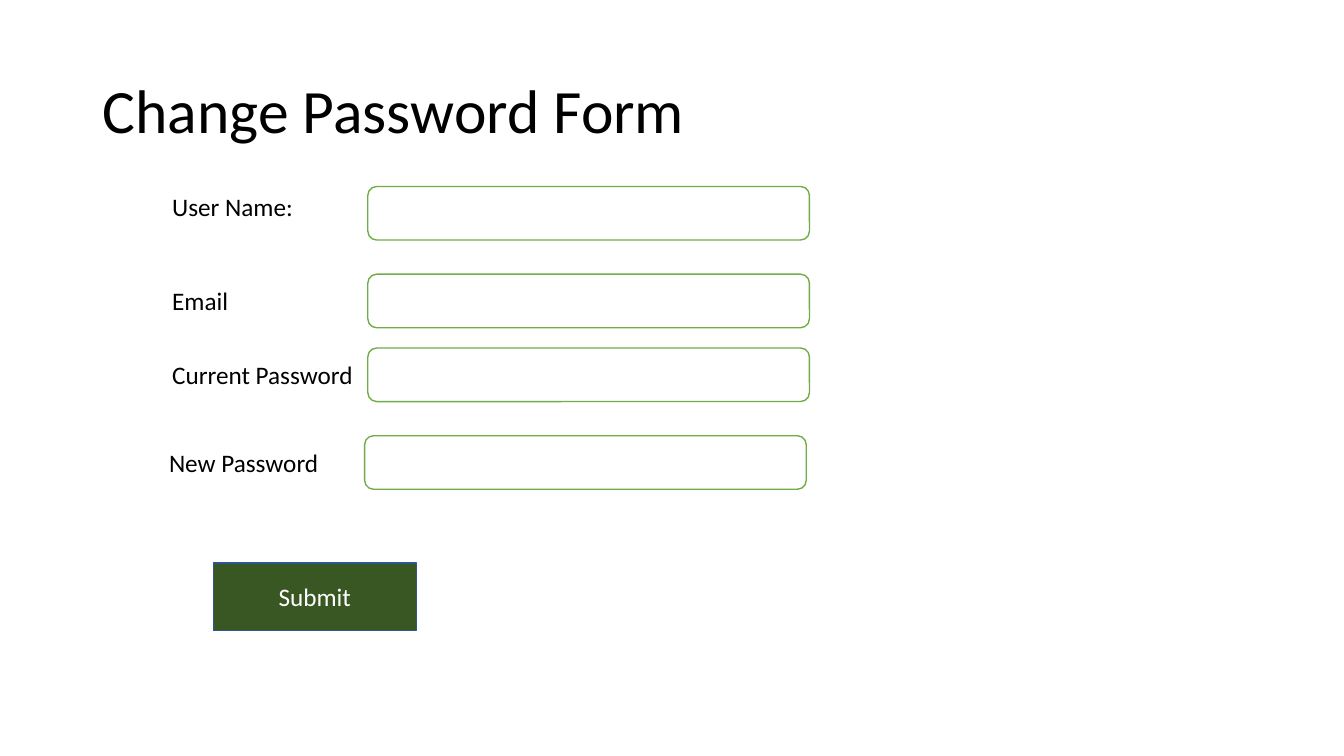
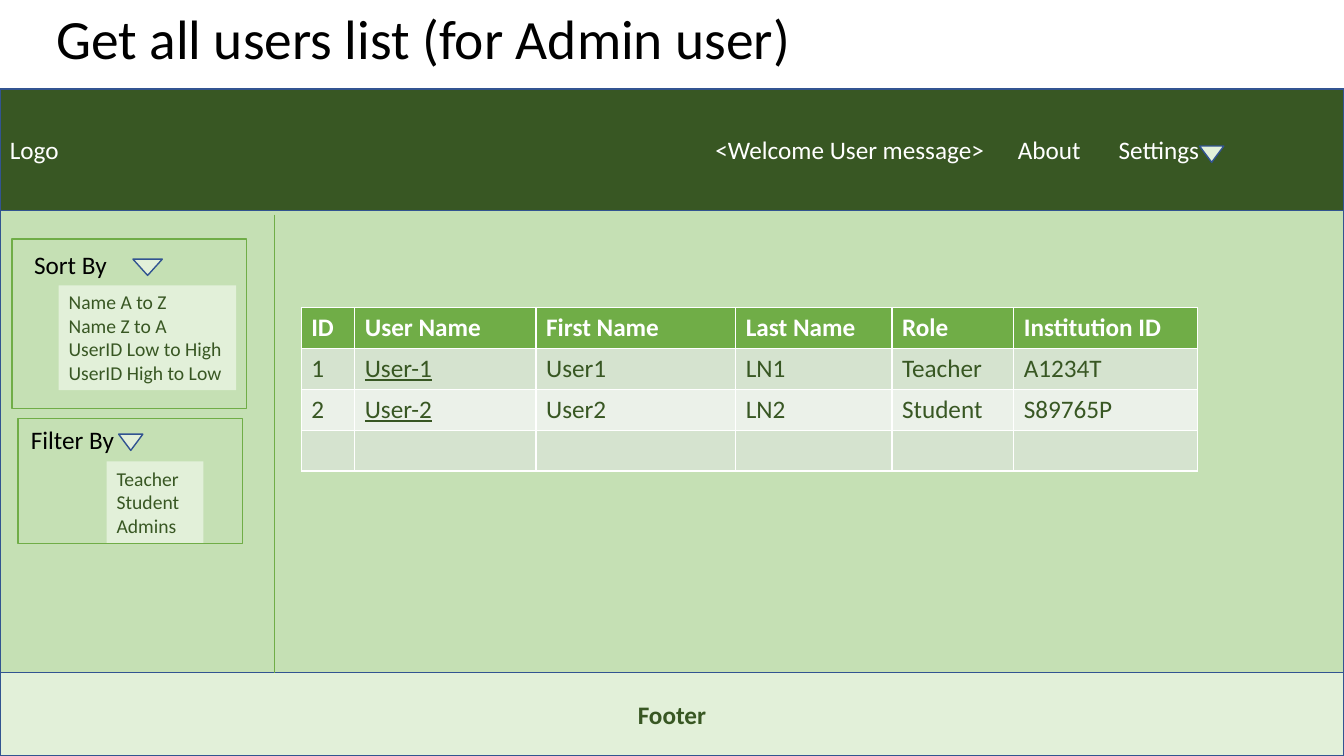
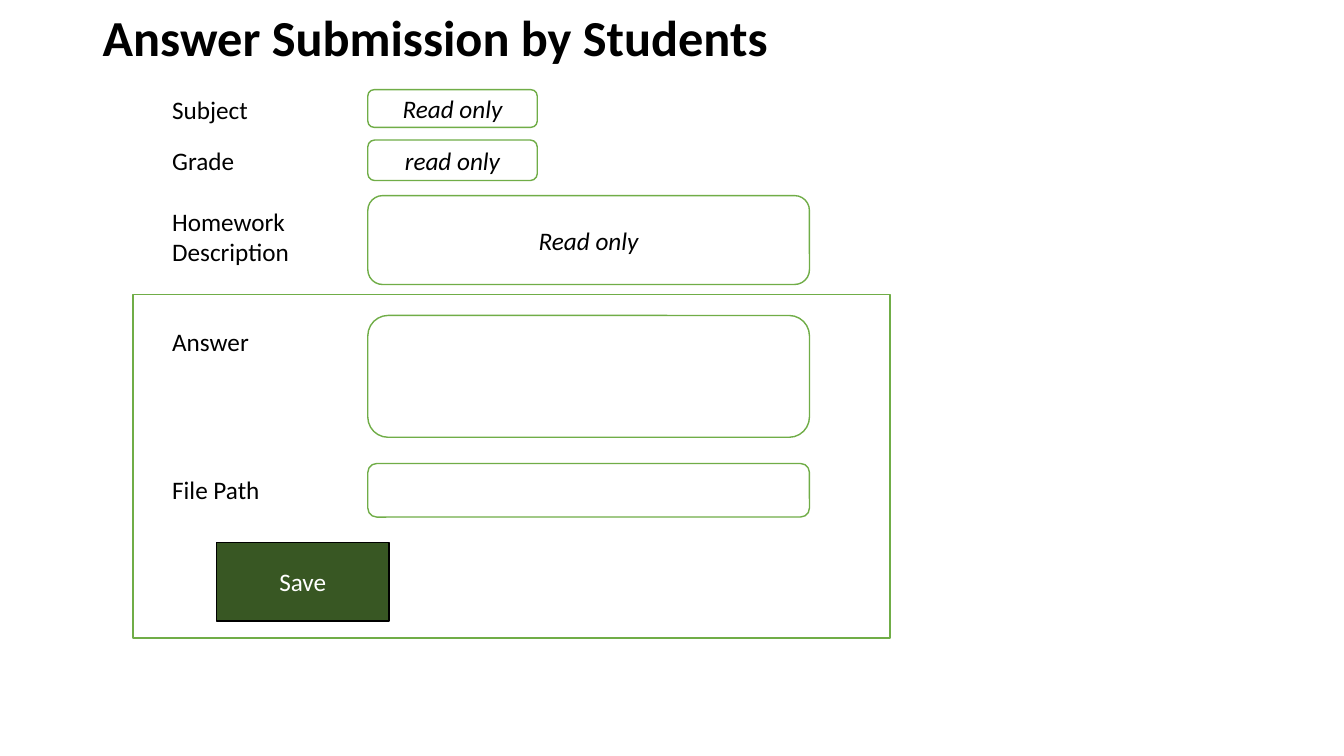
from lxml.etree import SubElement
from pptx import Presentation
from pptx.dml.color import RGBColor
from pptx.enum.shapes import MSO_CONNECTOR as Line, MSO_SHAPE as Shape
from pptx.enum.text import MSO_ANCHOR as Anchor, MSO_AUTO_SIZE as Fit, PP_ALIGN as Align
from pptx.oxml.ns import qn
from pptx.util import Cm, Pt

FONT = "Calibri"
BLACK = RGBColor(0x00, 0x00, 0x00)
WHITE = RGBColor(0xFF, 0xFF, 0xFF)
FOREST = RGBColor(0x38, 0x57, 0x23)
GREEN = RGBColor(0x70, 0xAD, 0x47)
LEAF = RGBColor(0xC5, 0xE0, 0xB4)
MINT = RGBColor(0xE2, 0xF0, 0xD9)
NAVY = RGBColor(0x32, 0x54, 0x91)
ROW_DARK = RGBColor(0xD5, 0xE3, 0xCF)
ROW_LIGHT = RGBColor(0xEB, 0xF1, 0xE9)

WIDTH, HEIGHT = 33.87, 19.05
LABEL_X, FIELD_X = 4.09, 9.27
FIELD_W, FIELD_H, SHORT_W = 11.13, 1.35, 4.27
LABEL_H = 1.02


def write(tf, text, size=18, color=BLACK, bold=False, italic=False, underline=False,
          align=Align.LEFT, anchor=Anchor.TOP, spacing=None, tabs=()):
    tf.vertical_anchor = anchor
    for i, line in enumerate(text.split("\n")):
        p = tf.add_paragraph() if i else tf.paragraphs[0]
        p.alignment = align
        if spacing:
            p.line_spacing = spacing
        if tabs:
            stops = SubElement(p._p.get_or_add_pPr(), qn("a:tabLst"))
            for pos in tabs:
                SubElement(stops, qn("a:tab"), pos=str(Cm(pos)), algn="l")
        r = p.add_run()
        r.text = line
        font = r.font
        font.name, font.size, font.color.rgb = FONT, Pt(size), color
        font.bold, font.italic, font.underline = bold, italic, underline


class Deck:
    def __init__(self):
        self.prs = Presentation()
        self.prs.slide_width, self.prs.slide_height = Cm(WIDTH), Cm(HEIGHT)
        self.s = None

    def slide(self, title, x, y, h, **fmt):
        self.s = self.prs.slides.add_slide(self.prs.slide_layouts[6])
        sp = self.s.shapes.add_textbox(Cm(x), Cm(y), Cm(29.21), Cm(h))
        sp.text_frame.word_wrap = True
        write(sp.text_frame, title, anchor=Anchor.MIDDLE, spacing=0.9, **fmt)

    def label(self, text, x, y, w, h=LABEL_H):
        tf = self.s.shapes.add_textbox(Cm(x), Cm(y), Cm(w), Cm(h)).text_frame
        tf.word_wrap = False
        tf.auto_size = Fit.SHAPE_TO_FIT_TEXT
        write(tf, text)

    def shape(self, x, y, w, h, kind=Shape.RECTANGLE, fill=None, line=None, text="", **fmt):
        sp = self.s.shapes.add_shape(kind, Cm(x), Cm(y), Cm(w), Cm(h))
        sp.shadow.inherit = False
        if fill is None:
            sp.fill.background()
        else:
            sp.fill.solid()
            sp.fill.fore_color.rgb = fill
        if line is None:
            sp.line.fill.background()
        else:
            sp.line.color.rgb, sp.line.width = line, Pt(1)
        if text:
            sp.text_frame.word_wrap = True
            write(sp.text_frame, text, **{"anchor": Anchor.MIDDLE, **fmt})
        return sp

    def field(self, x, y, w=FIELD_W, h=FIELD_H, text=""):
        self.shape(x, y, w, h, Shape.ROUNDED_RECTANGLE, WHITE, GREEN, text,
                   italic=True, align=Align.CENTER)

    def button(self, text, x, y, w, h, line):
        self.shape(x, y, w, h, Shape.ACTION_BUTTON_CUSTOM, FOREST, line, text,
                   color=WHITE, align=Align.CENTER)

    def arrow(self, x, y, w=0.61):
        self.shape(x, y, w, 0.41, Shape.ISOSCELES_TRIANGLE, MINT, NAVY).rotation = 180

    def options(self, text, x, y, w, h):
        self.shape(x, y, w, h, fill=MINT, text=text, size=14, color=FOREST, anchor=Anchor.TOP)

    def divider(self, x, top, bottom):
        cx = self.s.shapes.add_connector(Line.STRAIGHT, Cm(x), Cm(top), Cm(x), Cm(bottom))
        cx.line.color.rgb, cx.line.width = GREEN, Pt(0.5)
        SubElement(cx._element.spPr, qn("a:effectLst"))

    def table(self, x, y, widths, row_h, rows, underlined):
        frame = self.s.shapes.add_table(len(rows), len(widths), Cm(x), Cm(y),
                                        Cm(sum(widths)), Cm(row_h * len(rows)))
        table = frame.table
        for col, w in zip(table.columns, widths):
            col.width = Cm(w)
        for i, row in enumerate(rows):
            head = i == 0
            for j, text in enumerate(row):
                cell = table.cell(i, j)
                cell.fill.solid()
                cell.fill.fore_color.rgb = GREEN if head else (ROW_LIGHT, ROW_DARK)[i % 2]
                if text:
                    write(cell.text_frame, text, color=WHITE if head else FOREST,
                          bold=head, underline=not head and j == underlined)


def password_form(deck):
    deck.slide("Change Password Form", 2.34, 1.02, 3.68, size=44)
    for text, w, label_y, field_y, shift in (
        ("User Name:", 3.58, 4.7, 4.7, 0),
        ("Email", 1.93, 7.06, 6.91, 0),
        ("Current Password", 5.11, 8.94, 8.77, 0),
        ("New Password", 4.32, 11.15, 10.98, -0.08),
    ):
        deck.label(text, LABEL_X + shift, label_y, w)
        deck.field(FIELD_X + shift, field_y)
    deck.button("Submit", 5.38, 14.19, 5.11, 1.7, NAVY)


def users_list(deck):
    deck.slide("Get all users list (for Admin user)", 1.17, 0.69, 0.69, size=39.6)
    deck.shape(0, 2.24, WIDTH, 3.07, fill=FOREST, line=NAVY, color=WHITE,
               text="Logo\t<Welcome User message>\tAbout\tSettings", tabs=(17.78, 25.4, 27.94))
    deck.shape(0, 5.31, WIDTH, 11.64, fill=LEAF, line=NAVY)
    deck.shape(0, 16.95, WIDTH, 2.1, fill=MINT, line=NAVY, text="Footer",
               color=FOREST, bold=True, align=Align.CENTER)
    deck.arrow(30.23, 3.68)
    deck.divider(6.91, 5.41, 16.95)

    deck.label("Sort By", 0.61, 6.15, 2.87)
    deck.options("Name A to Z\nName Z to A\nUserID Low to High\nUserID High to Low",
                 1.48, 7.19, 4.47, 2.64)
    deck.arrow(3.35, 6.53, 0.74)
    deck.shape(0.3, 6.02, 5.92, 4.27, line=GREEN)

    deck.label("Filter By", 0.53, 10.57, 2.62)
    deck.options("Teacher\nStudent\nAdmins", 2.69, 11.63, 2.44, 2.06)
    deck.arrow(2.99, 10.94)
    deck.shape(0.45, 10.54, 5.67, 3.15, line=GREEN)

    deck.table(7.59, 7.75, (1.35, 4.57, 5.03, 3.94, 3.07, 4.62), 1.03, (
        ("ID", "User Name", "First Name", "Last Name", "Role", "Institution ID"),
        ("1", "User-1", "User1", "LN1", "Teacher", "A1234T"),
        ("2", "User-2", "User2", "LN2", "Student", "S89765P"),
        ("",) * 6,
    ), underlined=1)


def answer_form(deck):
    deck.slide("Answer Submission by Students", 2.34, 0.13, 1.78, size=36, bold=True)
    deck.shape(3.35, 7.42, 19.08, 8.66, line=GREEN)
    for text, label_w, label_h, label_y, field_y, w, h, value in (
        ("Subject", 2.44, LABEL_H, 2.26, 2.26, SHORT_W, 0.95, "Read only"),
        ("Grade", 2.08, LABEL_H, 3.53, 3.53, SHORT_W, 1.02, "read only"),
        ("Homework\nDescription", 3.53, 1.8, 5.08, 4.93, FIELD_W, 2.24, "Read only"),
        ("Answer", 2.46, LABEL_H, 8.1, 7.95, FIELD_W, 3.07, ""),
        ("File Path", 2.74, LABEL_H, 11.84, 11.68, FIELD_W, FIELD_H, ""),
    ):
        deck.label(text, LABEL_X, label_y, label_w, label_h)
        deck.field(FIELD_X, field_y, w, h, value)
    deck.button("Save", 5.46, 13.67, 4.34, 1.98, BLACK)


def main():
    deck = Deck()
    for build in (password_form, users_list, answer_form):
        build(deck)
    deck.prs.save("out.pptx")


if __name__ == "__main__":
    main()
